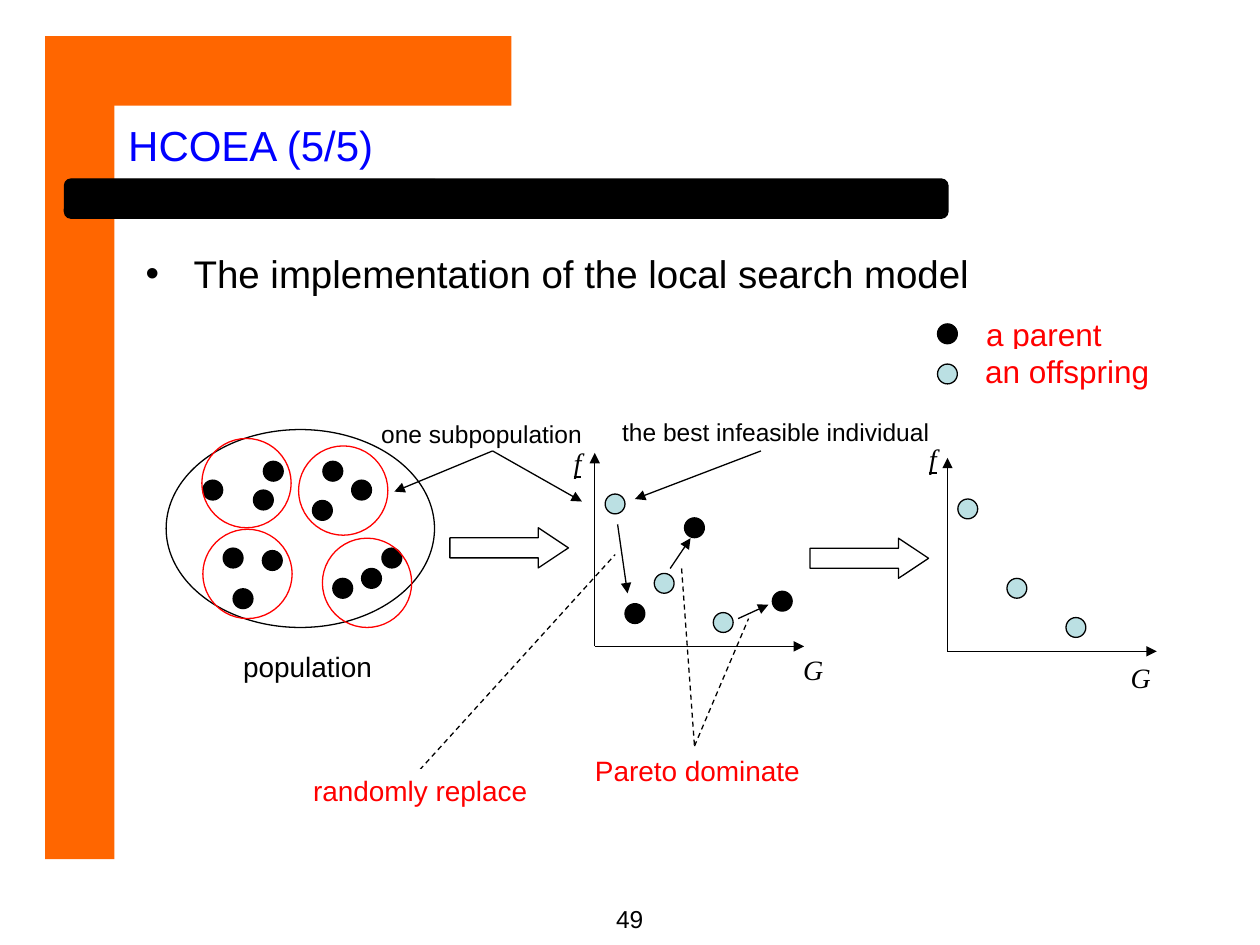
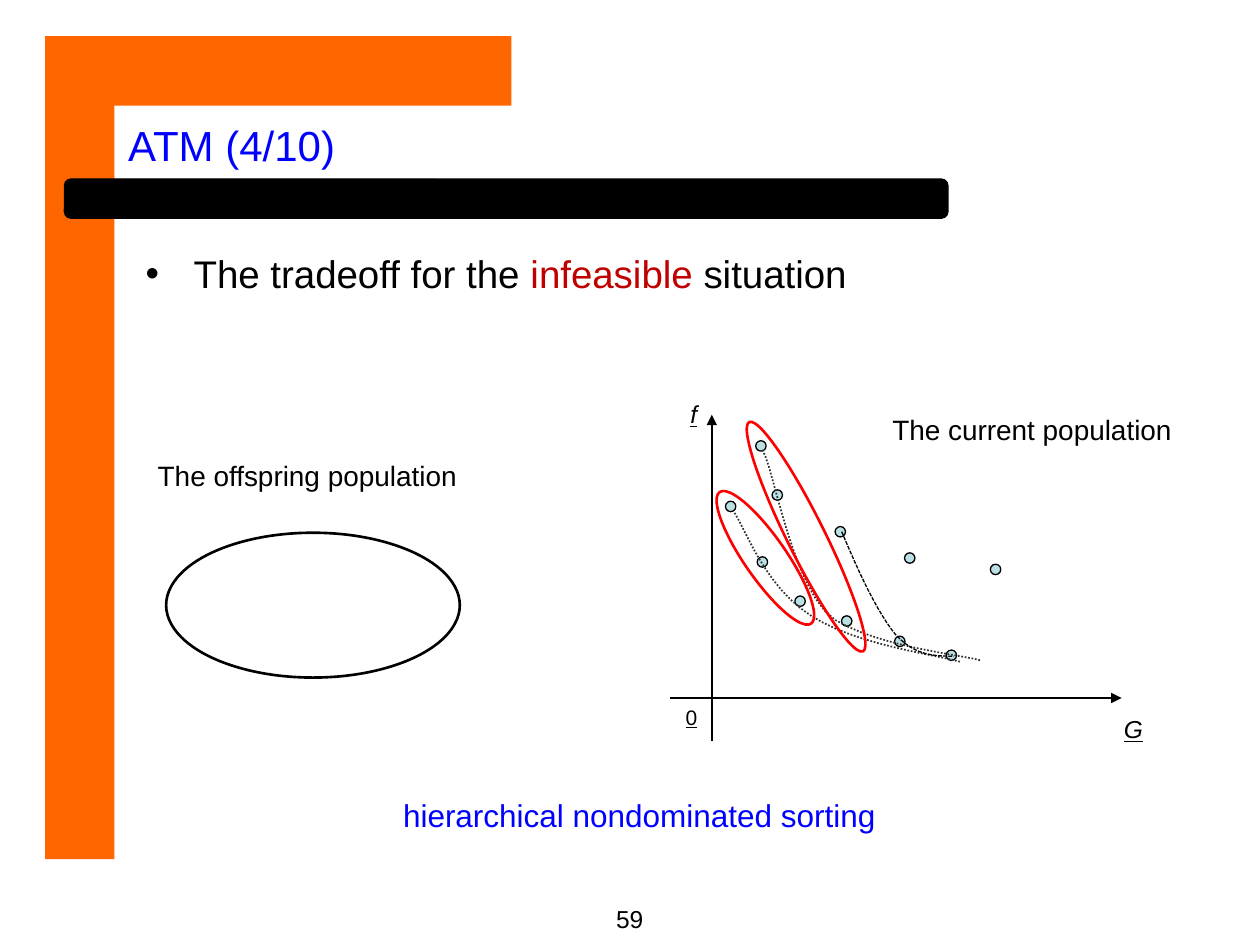
from pptx import Presentation
from pptx.dml.color import RGBColor
from pptx.enum.dml import MSO_LINE
from pptx.enum.shapes import MSO_CONNECTOR, MSO_SHAPE
from pptx.enum.text import MSO_ANCHOR, PP_ALIGN
from pptx.oxml.ns import qn
from pptx.util import Cm, Pt
from lxml.etree import SubElement

# All positions and sizes are in centimetres.
BLACK, WHITE, RED, BLUE = "000000", "FFFFFF", "FF0000", "0000FF"
ORANGE, PALE, DARK_RED, GREY = "FF6600", "BBE0E3", "C00000", "333333"
ARIAL, TIMES = "Arial", "Times New Roman"

TITLE_BOX = (2.33, 2.33, 20.17, 1.19)
BODY_BOX = (2.68, 4.91, 21.44, 11.81)
NUMBER_BOX = (8.67, 18.1, 8.05, 0.97)
BANDS = [(0.91, 0.73, 1.4, 16.59), (0.91, 0.73, 9.4, 1.4)]
TITLE_BAR = (1.3, 3.61, 17.81, 0.79)

# Local search model: subpopulations as (circle centre, parents)
POPULATION = (3.35, 8.66, 5.41, 3.99)
SUBPOPULATIONS = [
    ((4.97, 9.74), [(4.29, 9.88), (5.51, 9.5), (5.31, 10.08)]),
    ((6.92, 9.89), [(7.29, 9.88), (6.5, 10.29), (6.71, 9.5)]),
    ((4.99, 11.57), [(4.7, 11.25), (5.49, 11.3), (4.9, 12.07)]),
    ((7.4, 11.75), [(7.49, 11.66), (6.91, 11.86), (7.9, 11.25)]),
]
SUBPOPULATION_SIZE, INDIVIDUAL_SIZE = 1.8, 0.4
PLOT_ORIGIN, AXIS_LENGTHS = (11.99, 13.03), (4.22, 3.9)
NEXT_PLOT_SHIFT = (7.11, 0.1)
PARENTS = [(12.8, 12.37), (15.77, 12.12), (14, 10.64)]
OFFSPRING = [(12.4, 10.16), (14.58, 12.55), (13.39, 11.76)]
LEGEND = [((19.1, 6.73), BLACK), ((19.1, 7.54), PALE)]
BLOCK_ARROWS = [(9.07, 10.64, 2.39, 0.81), (16.33, 10.85, 2.39, 0.81)]
POINTERS = [
    (15.34, 9.09, 12.8, 10.06),
    (9.93, 9.09, 7.95, 9.91),
    (9.93, 9.09, 11.73, 10.11),
]
REPLACEMENTS = [
    (12.45, 10.57, 12.65, 11.96),
    (13.51, 11.46, 13.92, 10.85),
    (14.88, 12.47, 15.49, 12.19),
]
CALLOUT_LINES = [
    (13.74, 11.46, 14, 15.04),
    (14, 15.04, 15.09, 12.47),
    (8.46, 15.52, 12.4, 11.18),
]
SEARCH_LABELS = [
    ("the best infeasible individual", (11.64, 8.31, 8, 0.79), 14),
    ("one subpopulation", (6.96, 8.24, 5.5, 0.99), 14),
    ("population", (2.9, 12.93, 6.6, 0.99), 16),
]
SEARCH_AXIS_LABELS = [
    ("f", (11.15, 9.02, 0.99, 0.61)), ("G", (15.9, 13.18, 0.99, 0.61)),
    ("f", (18.31, 8.94, 0.99, 0.61)), ("G", (22.5, 13.34, 0.99, 0.61)),
]
RED_LABELS = [
    ("a parent", (19.63, 6.32, 4.19, 0.81), 18, PP_ALIGN.LEFT),
    ("an offspring", (19.61, 7.08, 4.19, 0.81), 18, PP_ALIGN.LEFT),
    ("Pareto dominate", (10.9, 15.13, 6.32, 0.79), 16, PP_ALIGN.CENTER),
    ("randomly replace", (5.31, 15.53, 6.32, 0.79), 16, PP_ALIGN.CENTER),
]

# Infeasible situation
SORTING_AXES = [(14.35, 14.94, 14.35, 8.36), (13.51, 14.07, 22.61, 14.07)]
SOLUTION_SIZE = 0.21
SOLUTIONS = [
    (14.73, 10.21), (15.37, 11.33), (16.13, 12.12), (17.07, 12.52),
    (18.14, 12.93), (19.18, 13.21), (15.34, 8.99), (15.67, 9.98),
    (16.94, 10.72), (18.34, 11.25), (20.07, 11.48),
]
OFFSPRING_POPULATION = (3.35, 10.74, 5.92, 2.92)
SELECTED_FRONTS = [((15.01, 9.63, 0.84, 3.23), 325.2),
                   ((13.67, 10.44, 5.16, 0.76), 63.6)]
# Each front: start, then control, control, end for every Bézier piece
FRONTS = [
    ([(14.81, 10.34), (15.06, 10.74), (15.44, 11.84), (16.36, 12.42),
      (17.27, 13), (18.77, 13.18), (19.35, 13.34)], GREY, 1, MSO_LINE.ROUND_DOT),
    ([(15.37, 9.07), (15.6, 9.42), (15.98, 11.94), (16.84, 12.5),
      (17.73, 13.03), (19.23, 13.18), (19.76, 13.31)], GREY, 1, MSO_LINE.ROUND_DOT),
    ([(16.97, 10.72), (17.32, 11.56), (17.7, 12.37), (18.06, 12.8),
      (18.44, 13.21), (18.82, 13.23), (19.23, 13.23)], BLACK, 0.75, MSO_LINE.SQUARE_DOT),
]
SORTING_AXIS_LABELS = [
    ("f", (13.59, 7.92, 0.79, 0.86), 14, True),
    ("G", (22.2, 14.27, 1.3, 0.86), 14, True),
    ("0", (13.51, 14.07, 0.86, 0.76), 12, False),
]
SORTING_LABELS = [
    ("The offspring population", (2.69, 9.12, 7.01, 0.94), 16, BLACK),
    ("The current population", (17.3, 8.2, 7.01, 0.94), 16, BLACK),
    ("hierarchical nondominated sorting", (7.29, 15.93, 11.2, 0.99), 18, BLUE),
]


def rgb(color):
    return RGBColor.from_string(color)


def cm(values):
    return [Cm(v) for v in values]


def place(sp, box):
    sp.left, sp.top, sp.width, sp.height = cm(box)


def paint(sp, fill=None, line=BLACK, width=0.75):
    if fill:
        sp.fill.solid()
        sp.fill.fore_color.rgb = rgb(fill)
    else:
        sp.fill.background()
    if line:
        sp.line.color.rgb = rgb(line)
        sp.line.width = Pt(width)
    else:
        sp.line.fill.background()


def style(p, size, color=BLACK, font=ARIAL, align=PP_ALIGN.LEFT):
    p.alignment = align
    p.font.size, p.font.name = Pt(size), font
    p.font.color.rgb = rgb(color)


def add_shape(slide, kind, box, **look):
    sp = slide.shapes.add_shape(kind, *cm(box))
    sp.shadow.inherit = False
    paint(sp, **look)
    return sp


def add_dot(slide, center, size, fill=None, line=BLACK):
    x, y = center
    add_shape(slide, MSO_SHAPE.OVAL, (x - size / 2, y - size / 2, size, size),
              fill=fill, line=line)


def add_line(slide, ends, width=0.75, dash=None, arrow=True):
    c = slide.shapes.add_connector(MSO_CONNECTOR.STRAIGHT, *cm(ends))
    c.line.color.rgb = rgb(BLACK)
    c.line.width = Pt(width)
    if dash:
        c.line.dash_style = dash
    sp_pr = c.element.spPr
    if arrow:
        SubElement(sp_pr.find(qn("a:ln")), qn("a:tailEnd"), type="triangle")
    SubElement(sp_pr, qn("a:effectLst"))


def add_text(slide, text, box, size, color=BLACK, font=ARIAL, align=PP_ALIGN.CENTER,
             anchor=MSO_ANCHOR.TOP, italic=False, underline=False):
    sp = slide.shapes.add_textbox(*cm(box))
    tf = sp.text_frame
    tf.word_wrap, tf.vertical_anchor = True, anchor
    p = tf.paragraphs[0]
    p.text = text
    style(p, size, color, font, align)
    p.font.italic, p.font.underline = italic, underline
    return sp


def add_curve(slide, points, color, width, dash, steps=12):
    """Draw joined cubic Bézier pieces as a fine open outline."""
    outline = []
    for i in range(0, len(points) - 1, 3):
        piece = points[i:i + 4]
        for n in range(1, steps + 1):
            t = n / steps
            weights = ((1 - t) ** 3, 3 * t * (1 - t) ** 2, 3 * t * t * (1 - t), t ** 3)
            outline.append(cm(sum(w * pt[axis] for w, pt in zip(weights, piece))
                              for axis in (0, 1)))
    builder = slide.shapes.build_freeform(*cm(points[0]))
    builder.add_line_segments(outline, close=False)
    sp = builder.convert_to_shape()
    sp.shadow.inherit = False
    paint(sp, line=color, width=width)
    sp.line.dash_style = dash


def set_up_layout(prs):
    """Set the placeholder positions that the slides inherit."""
    layout = prs.slide_layouts[1]
    title, body, *footers = layout.placeholders
    place(title, TITLE_BOX)
    place(body, BODY_BOX)
    for ph in footers:
        layout.shapes.element.remove(ph.element)
    return layout


def add_bands(slide):
    """Draw the bands, then move them behind the placeholders of the layout."""
    parts = [add_shape(slide, MSO_SHAPE.RECTANGLE, b, fill=ORANGE, line=None) for b in BANDS]
    parts.append(add_shape(slide, MSO_SHAPE.ROUNDED_RECTANGLE, TITLE_BAR, fill=BLACK))
    for i, sp in enumerate(parts):
        slide.slide_layout.shapes.element.insert(2 + i, sp.element)


def add_slide(prs, layout, title, bullet, number):
    slide = prs.slides.add_slide(layout)
    heading, body = slide.placeholders
    heading.text_frame.text = title
    heading.text_frame.vertical_anchor = MSO_ANCHOR.MIDDLE
    style(heading.text_frame.paragraphs[0], 24, BLUE)
    p = body.text_frame.paragraphs[0]
    p_pr = p._p.get_or_add_pPr()
    p_pr.set("marL", str(Cm(0.97)))
    p_pr.set("indent", str(-Cm(0.97)))
    p.space_before = Pt(0)
    style(p, 22)
    for text, color in bullet:
        r = p.add_run()
        r.text = text
        if color != BLACK:
            r.font.color.rgb = rgb(color)
    add_text(slide, number, NUMBER_BOX, 14)
    return slide


def draw_local_search(slide):
    add_shape(slide, MSO_SHAPE.OVAL, POPULATION)
    for center, parents in SUBPOPULATIONS:
        for parent in parents:
            add_dot(slide, parent, INDIVIDUAL_SIZE, BLACK)
        add_dot(slide, center, SUBPOPULATION_SIZE, line=RED)
    for dx, dy in [(0, 0), NEXT_PLOT_SHIFT]:
        x, y = PLOT_ORIGIN[0] + dx, PLOT_ORIGIN[1] + dy
        add_line(slide, (x, y, x + AXIS_LENGTHS[0], y))
        add_line(slide, (x, y, x, y - AXIS_LENGTHS[1]))
        for px, py in OFFSPRING:
            add_dot(slide, (px + dx, py + dy), INDIVIDUAL_SIZE, PALE)
    for center, fill in [(c, BLACK) for c in PARENTS] + LEGEND:
        add_dot(slide, center, INDIVIDUAL_SIZE, fill)
    for box in BLOCK_ARROWS:
        sp = add_shape(slide, MSO_SHAPE.RIGHT_ARROW, box)
        sp.adjustments[1] = 0.75
    for ends in POINTERS + REPLACEMENTS:
        add_line(slide, ends)
    for ends in CALLOUT_LINES:
        add_line(slide, ends, dash=MSO_LINE.DASH, arrow=False)
    for text, box, size in SEARCH_LABELS:
        add_text(slide, text, box, size, anchor=MSO_ANCHOR.MIDDLE)
    for text, box in SEARCH_AXIS_LABELS:
        add_text(slide, text, box, 16, font=TIMES, anchor=MSO_ANCHOR.MIDDLE,
                 italic=True, underline=text == "f")
    for text, box, size, align in RED_LABELS:
        sp = add_text(slide, text, box, size, RED, align=align, anchor=MSO_ANCHOR.MIDDLE)
        paint(sp, WHITE, WHITE, 2)


def draw_sorting(slide):
    for ends in SORTING_AXES:
        add_line(slide, ends, width=1.5)
    for center in SOLUTIONS:
        add_dot(slide, center, SOLUTION_SIZE, PALE)
    add_shape(slide, MSO_SHAPE.OVAL, OFFSPRING_POPULATION, width=1.5)
    for front in FRONTS:
        add_curve(slide, *front)
    for box, angle in SELECTED_FRONTS:
        add_shape(slide, MSO_SHAPE.OVAL, box, line=RED, width=1.5).rotation = angle
    for text, box, size, italic in SORTING_AXIS_LABELS:
        add_text(slide, text, box, size, italic=italic, underline=True)
    for text, box, size, color in SORTING_LABELS:
        add_text(slide, text, box, size, color)


def main():
    prs = Presentation()
    prs.slide_width, prs.slide_height = Cm(25.4), Cm(19.05)
    layout = set_up_layout(prs)
    search = add_slide(prs, layout, "HCOEA (5/5)",
                       [("The implementation of the local search model", BLACK)], "49")
    add_bands(search)
    draw_local_search(search)
    sorting = add_slide(prs, layout, "ATM (4/10)",
                        [("The tradeoff for the ", BLACK), ("infeasible", DARK_RED),
                         (" situation", BLACK)], "59")
    draw_sorting(sorting)
    prs.save("out.pptx")


if __name__ == "__main__":
    main()
